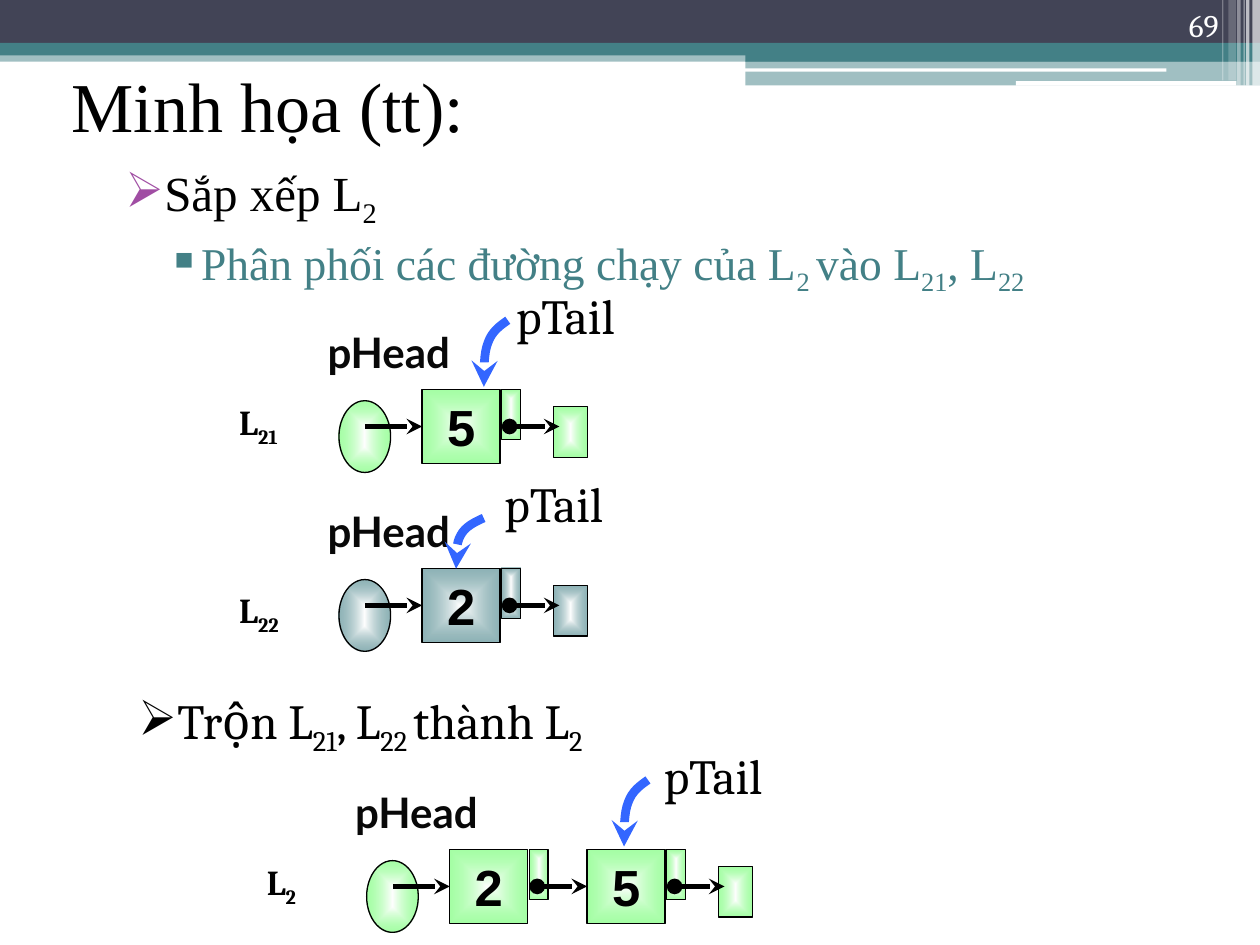
"""Build a slide showing list L2 split into runs and merged again."""
from lxml import etree
from pptx import Presentation
from pptx import util as u
from pptx.dml import color
from pptx.enum import shapes, text
from pptx.oxml import ns

COLOURS = {
    "navy": "424456", "teal": "438086", "white": "FFFFFF", "black": "000000",
    "ink": "080808", "purple": "A04DA3", "green": "69FF69", "blue": "3366FF",
}
BANDS = [
    (0, 28.8, 720, 6.5, "teal", 50), (0, 0, 720, 24.5, "navy", 100),
    (0, 24.5, 720, 7.2, "teal", 100), (426, 28, 294, 7.2, "teal", 100),
    (426, 34.6, 294, 14.2, "teal", 50), (425.5, 39, 241, 2, "white", 100),
    (580.5, 46.3, 126, 2.7, "white", 100), (715.7, 0, 4.3, 49, "white", 65),
    (712, 0, 2, 49, "white", 65), (710.6, 0, 0.7, 49, "white", 60),
    (707, 0, 2, 49, "white", 40), (702, 0, 4.3, 46, "white", 20),
    (698.4, 0, 0.7, 46, "white", 30),
]
NODE_WIDTH, NODE_HEIGHT, PITCH = 44.6, 42.5, 78.5
MIDDLE = NODE_HEIGHT / 2


def rgb(name):
    """Return a named colour."""
    return color.RGBColor.from_string(COLOURS[name])


def add_xml(parent, tag, **attributes):
    """Append a DrawingML child element."""
    return etree.SubElement(parent, ns.qn("a:" + tag), attributes)


def set_alpha(element, percent):
    """Make the last colour inside an element translucent."""
    last = list(element.iter(ns.qn("a:srgbClr")))[-1]
    add_xml(last, "alpha", val=str(percent * 1000))


def add_band(page, left, top, width, height, name, alpha):
    """Draw one strip of the header decoration."""
    band = page.shapes.add_shape(shapes.MSO_SHAPE.RECTANGLE, u.Pt(left), u.Pt(top), u.Pt(width), u.Pt(height))
    band.shadow.inherit = False
    band.fill.solid()
    band.fill.fore_color.rgb = rgb(name)
    if alpha < 100:
        set_alpha(band.fill._xPr, alpha)
    band.line.fill.background()


def write(para, content, size, font, name="black", bold=False):
    """Write text in which every second part between bars is a subscript."""
    for index, part in enumerate(content.split("|")):
        if part:
            span = para.add_run()
            span.text = part
            span.font.size, span.font.name, span.font.bold = u.Pt(size), font, bold
            span.font.color.rgb = rgb(name)
            if index % 2:
                span.font._element.set("baseline", "-25000")


def add_text(page, left, top, width, height, content, size, font, name="black",
             bold=False, align=text.PP_ALIGN.LEFT, anchor=text.MSO_ANCHOR.TOP, inset=True):
    """Add a text box and return its first paragraph."""
    box = page.shapes.add_textbox(u.Pt(left), u.Pt(top), u.Pt(width), u.Pt(height))
    frame = box.text_frame
    frame.word_wrap = True
    frame.vertical_anchor = anchor
    if not inset:
        frame.margin_left = frame.margin_right = frame.margin_top = frame.margin_bottom = 0
    para = frame.paragraphs[0]
    para.alignment = align
    write(para, content, size, font, name, bold)
    return para


def set_bullet(para, mark, name, margin=0, indent=0):
    """Give a paragraph a bullet and a hanging indent."""
    props = para._p.get_or_add_pPr()
    props.set("marL", str(u.Pt(margin)))
    props.set("indent", str(u.Pt(indent)))
    add_xml(add_xml(props, "buClr"), "srgbClr", val=COLOURS[name])
    add_xml(props, "buChar", char=mark)


def add_cell(page, kind, left, top, width, height, name, content=""):
    """Draw a list cell that glows towards its centre."""
    cell = page.shapes.add_shape(kind, u.Pt(left), u.Pt(top), u.Pt(width), u.Pt(height))
    cell.shadow.inherit = False
    cell.fill.gradient()
    for stop, shade in zip(cell.fill.gradient_stops, ("white", name)):
        stop.color.rgb = rgb(shade)
    gradient = cell._element.spPr.find(ns.qn("a:gradFill"))
    set_alpha(gradient, 60)
    gradient.remove(gradient.find(ns.qn("a:lin")))
    focus = add_xml(gradient, "path", path="shape")
    add_xml(focus, "fillToRect", l="50000", t="50000", r="50000", b="50000")
    cell.line.color.rgb = rgb("black")
    cell.line.width = u.Pt(0.75)
    if content:
        para = cell.text_frame.paragraphs[0]
        para.alignment = text.PP_ALIGN.CENTER
        write(para, content, 29, "Arial", bold=True)
    return cell


def style_arrow(arrow, name, width, dotted=False):
    """Set the stroke and the ends of an arrow."""
    arrow.line.color.rgb = rgb(name)
    arrow.line.width = u.Pt(width)
    stroke = arrow.line._get_or_add_ln()
    if dotted:
        add_xml(stroke, "headEnd", type="oval")
    add_xml(stroke, "tailEnd", type="stealth")


def add_link(page, start, end, top, target=None, dotted=False):
    """Draw a level pointer, joined to its target node if there is one."""
    link = page.shapes.add_connector(shapes.MSO_CONNECTOR.STRAIGHT, u.Pt(start), u.Pt(top), u.Pt(end), u.Pt(top))
    if target is not None:
        link.end_connect(target, 1)
    style_arrow(link, "black", 3, dotted)
    add_xml(link._element.spPr, "effectLst")


def add_tail_arrow(page, left, top, width, height):
    """Draw the curved arrow from pTail down to the last node."""
    def bezier(ends, t):
        a, b, c, d = ends
        s = 1 - t
        return s**3 * a + 3 * s * s * t * b + 3 * s * t * t * c + t**3 * d

    curves = [((1, 0.68, 0.33, 0.17), (0, 0.08, 0.17, 0.34)),
              ((0.17, 0, 0, 0), (0.34, 0.49, 0.74, 1))]
    points = [(u.Pt(left + width * bezier(xs, step / 8)), u.Pt(top + height * bezier(ys, step / 8)))
              for xs, ys in curves for step in range(1, 9)]
    builder = page.shapes.build_freeform(u.Pt(left + width), u.Pt(top))
    builder.add_line_segments(points, close=False)
    arrow = builder.convert_to_shape()
    arrow.shadow.inherit = False
    arrow.fill.background()
    style_arrow(arrow, "blue", 5)


def add_list(page, left, top, label, values, name, tail, tail_text, label_drop=3):
    """Draw a linked list whose first node starts at left and top."""
    rectangle = shapes.MSO_SHAPE.RECTANGLE
    add_cell(page, shapes.MSO_SHAPE.OVAL, left - 47.5, top + 6.5, 29.5, 41, name)
    starts = [left + index * PITCH for index in range(len(values))]
    nodes = []
    for start, value in zip(starts, values):
        add_cell(page, rectangle, start + 45.4, top, 10.8, 28.8, name)
        nodes.append(add_cell(page, rectangle, start, top, NODE_WIDTH, NODE_HEIGHT, name, value))
    add_cell(page, rectangle, starts[-1] + 75, top + 10, 19.5, 28.8, name)
    add_link(page, left - 32.4, left, top + MIDDLE, nodes[0])
    for start, target in zip(starts, nodes[1:] + [None]):
        add_link(page, start + 50, start + PITCH, top + MIDDLE, target, dotted=True)
    centre = text.PP_ALIGN.CENTER
    add_text(page, left - 58.3, top - 36, 78.5, 33, "pHead", 24, "Lato", "ink", True, centre, inset=False)
    add_text(page, *tail_text, 31, "pTail", 28, "Cambria", align=centre, inset=False)
    add_text(page, left - 111.6, top + label_drop, 47.5, 31, label, 20, "Cambria", bold=True)
    add_tail_arrow(page, *tail)


def main():
    """Build and save the deck."""
    deck = Presentation()
    deck.slide_width, deck.slide_height = u.Pt(720), u.Pt(540)
    page = deck.slides.add_slide(deck.slide_layouts[6])
    for band in BANDS:
        add_band(page, *band)
    add_text(page, 34, 18, 648, 84, "Minh họa (tt):", 40, "Times New Roman", anchor=text.MSO_ANCHOR.MIDDLE)
    add_text(page, 643.7, 0, 59.8, 28.8, "69", 18, "Cambria", "white",
             align=text.PP_ALIGN.RIGHT, anchor=text.MSO_ANCHOR.BOTTOM)

    first = add_text(page, 56, 89.3, 664, 90.7, "Sắp xếp L|2", 28, "Times New Roman", align=text.PP_ALIGN.JUSTIFY)
    second = first._parent.add_paragraph()
    second.level, second.alignment = 1, text.PP_ALIGN.JUSTIFY
    write(second, "Phân phối các đường chạy của L|2 |vào L|21|, L|22", 26, "Times New Roman", "teal")
    first.space_before = second.space_before = u.Pt(3)
    set_bullet(first, "➢", "purple", 28.8, -20.2)
    set_bullet(second, "▪", "teal", 51.8, -19.4)

    add_list(page, 241.2, 222.5, "L|21", ["5"], "green", (276.5, 183, 13.7, 38), (290, 163.4, 66.2))
    add_list(page, 241.2, 324.7, "L|22", ["2"], "teal", (260.6, 296, 15.8, 29), (276.5, 270.7, 80), 8)
    merge = add_text(page, 72, 391, 591, 41, "Trộn L|21|, L|22 |thành L|2", 28, "Cambria")
    set_bullet(merge, "➢", "black")
    add_list(page, 257, 485.3, "L|2", ["2", "5"], "green", (356.6, 445.7, 13.7, 38), (370.8, 426.2, 73.4))
    deck.save("out.pptx")


if __name__ == "__main__":
    main()
